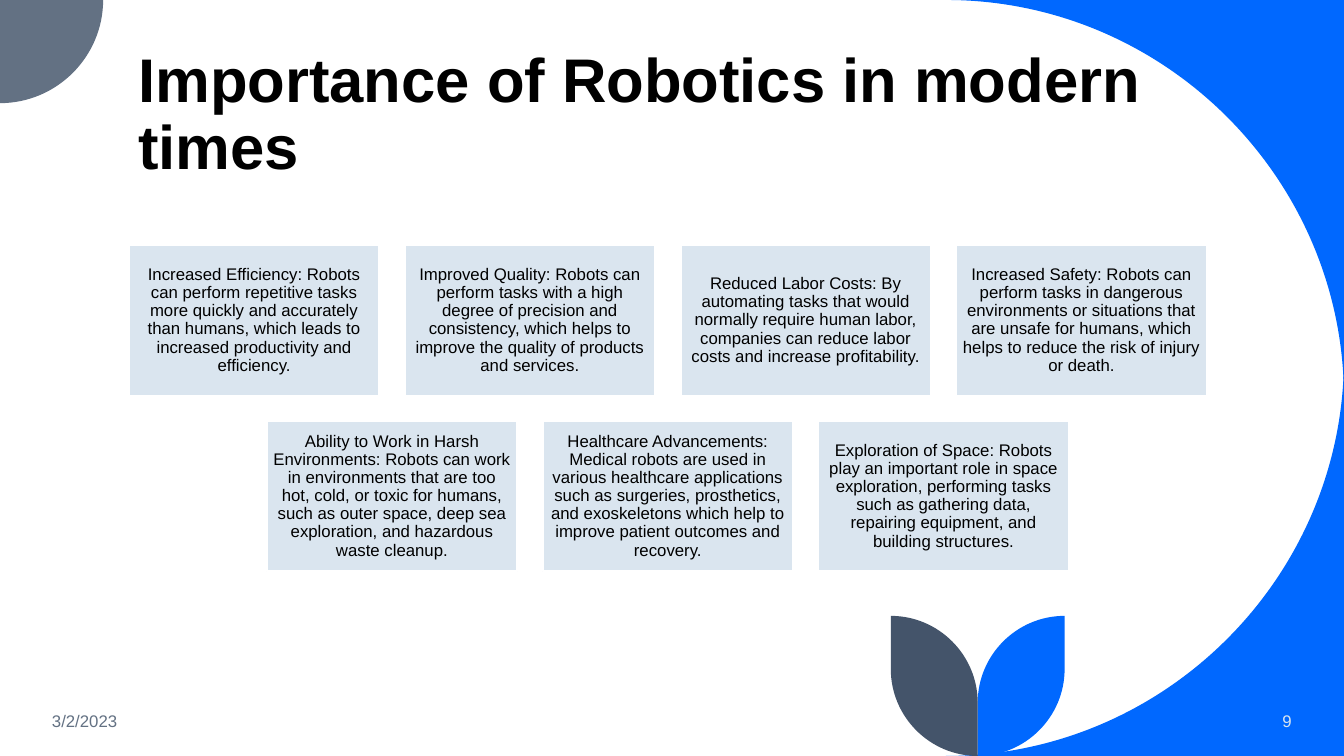
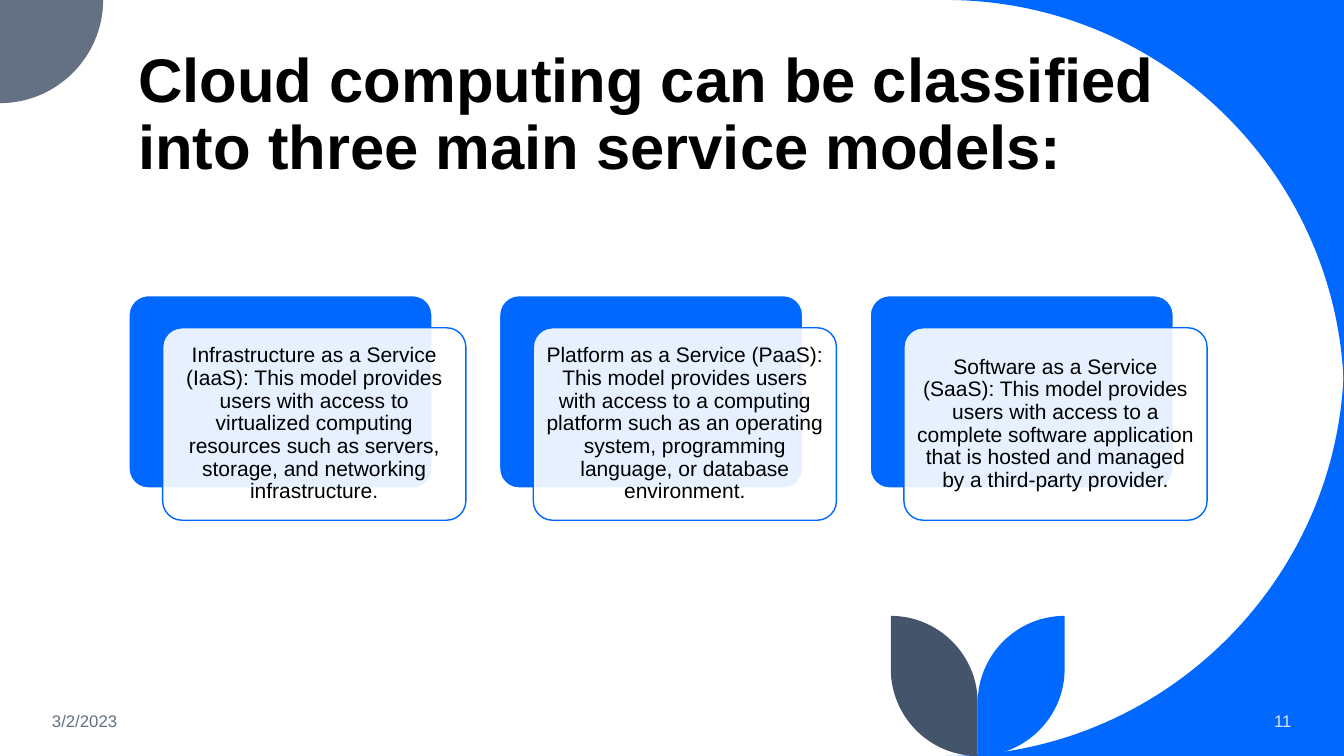
"""Build two slides on robotics and cloud service models."""
from lxml.etree import SubElement
from pptx import Presentation
from pptx.dml.color import RGBColor
from pptx.enum.shapes import MSO_SHAPE
from pptx.enum.text import MSO_ANCHOR, MSO_AUTO_SIZE, PP_ALIGN
from pptx.oxml.ns import qn
from pptx.util import Cm, Pt

BLUE = RGBColor(0x00, 0x68, 0xFF)
SLATE = RGBColor(0x63, 0x71, 0x83)
NAVY = RGBColor(0x44, 0x54, 0x6A)
PALE = RGBColor(0xDA, 0xE5, 0xEF)
WHITE = RGBColor(0xFF, 0xFF, 0xFF)
BLACK = RGBColor(0x00, 0x00, 0x00)
WIDE, HIGH = 33.87, 19.05


def write(shape, text, size=12, color=BLACK, bold=False, align=PP_ALIGN.LEFT,
          anchor=MSO_ANCHOR.MIDDLE, space=1.0, pad=None):
    frame = shape.text_frame
    frame.text = text
    frame.word_wrap = True
    frame.auto_size = MSO_AUTO_SIZE.NONE
    frame.vertical_anchor = anchor
    if pad is not None:
        frame.margin_left = frame.margin_right = Cm(pad)
        frame.margin_top = frame.margin_bottom = Cm(pad)
    para = frame.paragraphs[0]
    para.alignment = align
    para.line_spacing = space
    font = para.runs[0].font
    font.name, font.size, font.bold = "Arial", Pt(size), bold
    font.color.rgb = color


def bend(piece, line, start, end, corner):
    curve = SubElement(line.getparent(), qn("a:cubicBezTo"))
    pull = 0.55
    first = [a + pull * (c - a) for a, c in zip(start, corner)]
    second = [b + pull * (c - b) for b, c in zip(end, corner)]
    for x, y in (first, second, end):
        SubElement(curve, qn("a:pt"), x=str(Cm(x) - piece.left), y=str(Cm(y) - piece.top))
    line.getparent().replace(line, curve)


deck = Presentation()
deck.slide_width, deck.slide_height = Cm(WIDE), Cm(HIGH)
layout = deck.slide_layouts[5]
head = layout.placeholders[0]
head.left, head.top, head.width, head.height = Cm(3.23), Cm(1.05), Cm(27.15), Cm(3.68)

titles = [
    ("Importance of Robotics in modern times", "9"),
    ("Cloud computing can be classified into three main service models:", "11"),
]
slides = []
for title, page in titles:
    slide = deck.slides.add_slide(layout)
    write(slide.shapes.title, title, size=44, bold=True,
          anchor=MSO_ANCHOR.BOTTOM, space=0.9)
    date = slide.shapes.add_textbox(Cm(1.06), Cm(17.65), Cm(7.62), Cm(1.02))
    write(date, "3/2/2023", color=SLATE)
    folio = slide.shapes.add_textbox(Cm(28.2), Cm(17.65), Cm(4.6), Cm(1.02))
    write(folio, page, color=PALE, align=PP_ALIGN.RIGHT)
    slides.append(slide)
robots, cloud = slides

arch, dot, leaf, stem = 10.03, 2.6, 2.19, 24.64
edge, peak = WIDE - arch, 15.52
decor = [
    (BLUE, [((edge, 0), None), ((WIDE, arch), (WIDE, 0)), ((WIDE, 0), None)]),
    (BLUE, [((WIDE, HIGH - arch), None), ((edge, HIGH), (WIDE, HIGH)),
            ((WIDE, HIGH), None)]),
    (SLATE, [((dot, 0), None), ((0, dot), (dot, dot)), ((0, 0), None)]),
]
for color, rim in [(BLUE, stem + leaf), (NAVY, stem - leaf)]:
    decor.append((color, [((rim, peak), None), ((rim, HIGH - leaf), None),
                          ((stem, HIGH), (rim, HIGH)), ((stem, peak + leaf), None),
                          ((rim, peak), (stem, peak))]))
for index, (color, steps) in enumerate(decor):
    spots = [point for point, corner in steps]
    pen = robots.shapes.build_freeform(*[Cm(v) for v in spots[0]], scale=1.0)
    pen.add_line_segments([(Cm(x), Cm(y)) for x, y in spots[1:]], close=True)
    piece = pen.convert_to_shape()
    lines = list(piece.element.iter(qn("a:lnTo")))
    for line, start, (end, corner) in zip(lines, spots, steps[1:]):
        if corner:
            bend(piece, line, start, end, corner)
    piece.shadow.inherit = False
    piece.fill.solid()
    piece.fill.fore_color.rgb = color
    piece.line.fill.background()
    piece.element.nvSpPr.cNvPr.id = 20 + index
    layout.shapes.element.append(piece.element)

gains = [
    "Increased Efficiency: Robots can perform repetitive tasks more quickly and "
    "accurately than humans, which leads to increased productivity and efficiency.",
    "Improved Quality: Robots can perform tasks with a high degree of precision and "
    "consistency, which helps to improve the quality of products and services.",
    "Reduced Labor Costs: By automating tasks that would normally require human labor, "
    "companies can reduce labor costs and increase profitability.",
    "Increased Safety: Robots can perform tasks in dangerous environments or situations "
    "that are unsafe for humans, which helps to reduce the risk of injury or death.",
    "Ability to Work in Harsh Environments: Robots can work in environments that are too "
    "hot, cold, or toxic for humans, such as outer space, deep sea exploration, and "
    "hazardous waste cleanup.",
    "Healthcare Advancements: Medical robots are used in various healthcare applications "
    "such as surgeries, prosthetics, and exoskeletons which help to improve patient "
    "outcomes and recovery.",
    "Exploration of Space: Robots play an important role in space exploration, performing "
    "tasks such as gathering data, repairing equipment, and building structures.",
]
pitch = 6.95
for index, text in enumerate(gains):
    row, col = divmod(index, 4)
    left = 3.25 + pitch * (col + row / 2)
    card = robots.shapes.add_shape(MSO_SHAPE.RECTANGLE, Cm(left), Cm(6.18 + 4.43 * row),
                                   Cm(6.31), Cm(3.79))
    card.shadow.inherit = False
    card.fill.solid()
    card.fill.fore_color.rgb = PALE
    card.line.color.rgb = WHITE
    card.line.width = Pt(1.5)
    write(card, text, align=PP_ALIGN.CENTER, space=0.9, pad=0.13)

models = [
    "Infrastructure as a Service (IaaS): This model provides users with access to "
    "virtualized computing resources such as servers, storage, and networking "
    "infrastructure.",
    "Platform as a Service (PaaS): This model provides users with access to a computing "
    "platform such as an operating system, programming language, or database environment.",
    "Software as a Service (SaaS): This model provides users with access to a complete "
    "software application that is hosted and managed by a third-party provider.",
]
for index, text in enumerate(models):
    left = 3.25 + 9.34 * index
    for right, down, fill, line in [(0, 0, BLUE, WHITE), (0.85, 0.81, WHITE, BLUE)]:
        panel = cloud.shapes.add_shape(MSO_SHAPE.ROUNDED_RECTANGLE, Cm(left + right),
                                       Cm(7.45 + down), Cm(7.64), Cm(4.85))
        panel.adjustments[0] = 0.1
        panel.shadow.inherit = False
        panel.fill.solid()
        panel.fill.fore_color.rgb = fill
        panel.line.color.rgb = line
        panel.line.width = Pt(1)
    tint = panel.element.spPr.find(qn("a:solidFill")).find(qn("a:srgbClr"))
    SubElement(tint, qn("a:alpha"), val="90000")
    write(panel, text, size=15, align=PP_ALIGN.CENTER, space=0.9, pad=0.15)

deck.save("out.pptx")
